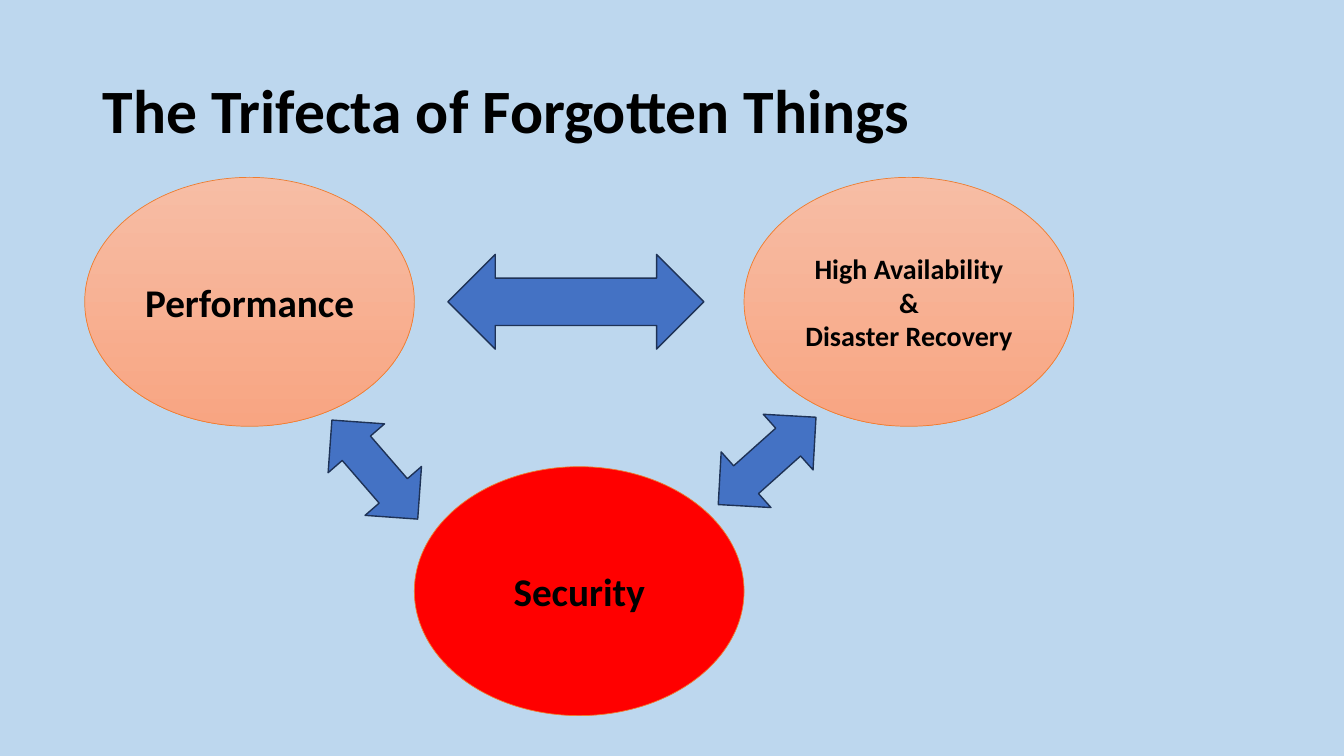
from pptx import Presentation
from pptx.dml.color import RGBColor
from pptx.enum.shapes import MSO_SHAPE
from pptx.enum.text import MSO_ANCHOR, MSO_AUTO_SIZE, PP_ALIGN
from pptx.util import Inches, Pt

ELLIPSE = MSO_SHAPE.OVAL
ARROW = MSO_SHAPE.LEFT_RIGHT_ARROW
MIDDLE = MSO_ANCHOR.MIDDLE
NO_FIT = MSO_AUTO_SIZE.NONE
LEFT, CENTER = PP_ALIGN.LEFT, PP_ALIGN.CENTER
TITLE_ONLY = 5


def rgb(value):
    return RGBColor.from_string(value)


class TrifectaSlide:
    FONT = "Calibri"
    BACKGROUND, INK = "BDD7EE", "000000"
    PEACH, RED, ORANGE = ("F7BDA5", "F8A582"), "FF0000", "ED7D31"
    BLUE, NAVY = "4472C4", "1E3256"
    X0, Y0 = 0.84, 1.76           # grid origin, inches
    COL, ROW = 3.27, 2.87         # grid steps, inches
    OVAL_HEIGHT = 2.47

    def __init__(self, prs):
        self.s = prs.slides.add_slide(prs.slide_layouts[TITLE_ONLY])
        fill = self.s.background.fill
        fill.solid()
        fill.fore_color.rgb = rgb(self.BACKGROUND)

    def point(self, col, row):
        """Inches of a grid position."""
        return self.X0 + col * self.COL, self.Y0 + row * self.ROW

    def label(self, tf, text, size, align):
        tf.word_wrap = True
        tf.auto_size = NO_FIT
        tf.vertical_anchor = MIDDLE
        p = tf.paragraphs[0]
        p.alignment = align
        for i, line in enumerate(text.split("\n")):
            if i:
                p.add_line_break()
            r = p.add_run()
            r.text = line
            r.font.name = self.FONT
            r.font.size = Pt(size)
            r.font.bold = True
            r.font.color.rgb = rgb(self.INK)
        return p

    def title(self, text):
        sp = self.s.shapes.title
        sp.left, sp.top = Inches(0.92), Inches(0.4)
        sp.width, sp.height = Inches(11.5), Inches(1.45)
        self.label(sp.text_frame, text, 44, LEFT).line_spacing = 0.9

    def shape(self, kind, x, y, width, height, fill, line, weight):
        sp = self.s.shapes.add_shape(
            kind, Inches(x), Inches(y), Inches(width), Inches(height))
        sp.shadow.inherit = False
        if isinstance(fill, tuple):
            sp.fill.gradient()
            sp.fill.gradient_angle = 270
            for stop, color in zip(sp.fill.gradient_stops, fill):
                stop.color.rgb = rgb(color)
        else:
            sp.fill.solid()
            sp.fill.fore_color.rgb = rgb(fill)
        sp.line.color.rgb = rgb(line)
        sp.line.width = Pt(weight)
        return sp

    def oval(self, col, row, text, size, fill):
        x, y = self.point(col, row)
        sp = self.shape(ELLIPSE, x, y, self.COL, self.OVAL_HEIGHT,
                        fill, self.ORANGE, 0.5)
        self.label(sp.text_frame, text, size, CENTER)

    def arrow(self, col, row, width, height, rotation=0):
        """Double arrow centred on a grid position."""
        x, y = self.point(col, row)
        sp = self.shape(ARROW, x - width / 2, y - height / 2, width, height,
                        self.BLUE, self.NAVY, 1)
        sp.rotation = rotation


def main():
    prs = Presentation()
    prs.slide_width, prs.slide_height = Inches(13.33), Inches(7.5)
    s = TrifectaSlide(prs)

    # Title
    s.title("The Trifecta of Forgotten Things")

    # Three concerns
    s.oval(0, 0, "Performance", 28, s.PEACH)
    s.oval(2, 0, "High Availability &\nDisaster Recovery", 20, s.PEACH)
    s.oval(1, 1, "Security", 28, s.RED)

    # Arrows between them
    s.arrow(1.49, 0.43, 2.54, 0.94)
    s.arrow(2.07, 0.98, 1.3, 0.74, 318.2)
    s.arrow(0.88, 1.01, 1.3, 0.74, 229.1)

    prs.save("out.pptx")


if __name__ == "__main__":
    main()
